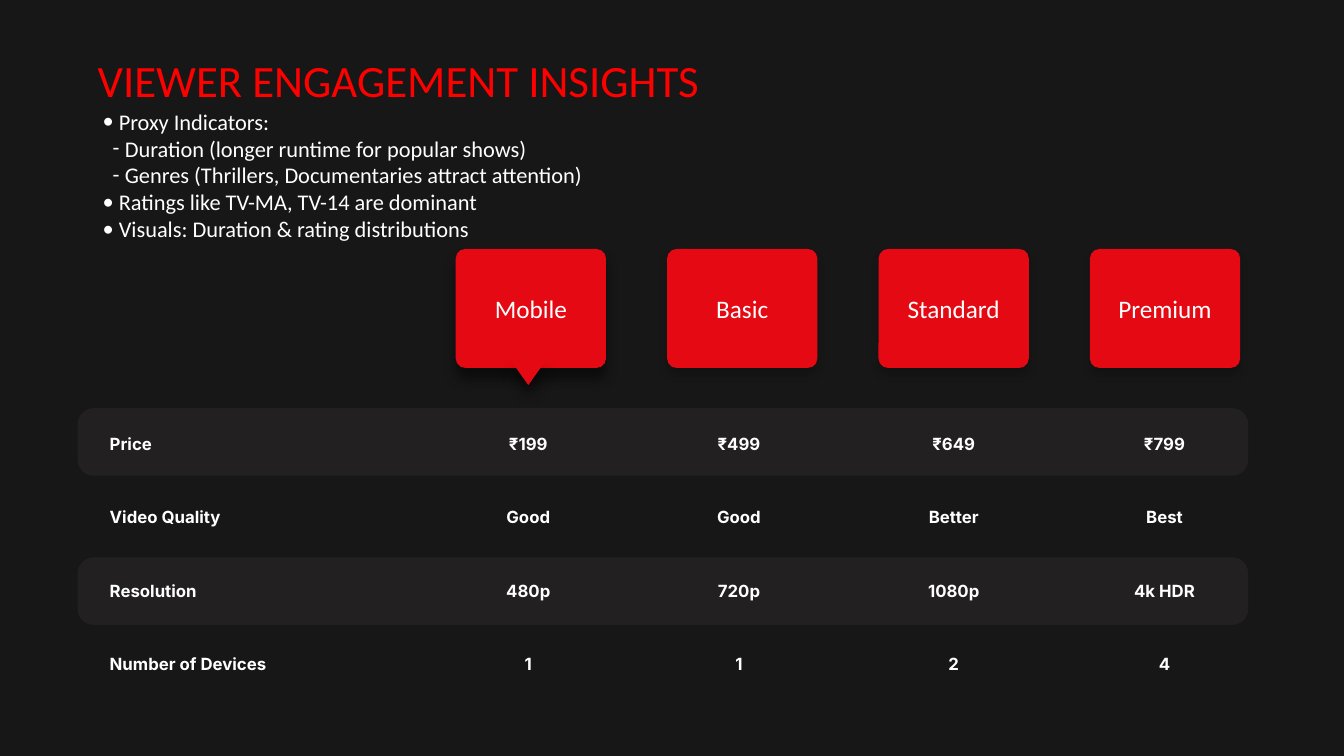
from dataclasses import dataclass

from lxml.etree import SubElement
from pptx import Presentation
from pptx.dml.color import RGBColor
from pptx.enum.shapes import MSO_SHAPE
from pptx.enum.text import MSO_ANCHOR, PP_ALIGN
from pptx.oxml.ns import qn
from pptx.util import Inches, Pt


@dataclass(frozen=True)
class Theme:
    background: str = "181717"
    band: str = "3B3838"
    card: str = "E50914"
    title: str = "FF0000"
    text: str = "FFFFFF"
    shadow: str = "000000"
    heading_font: str = "Calibri"
    table_font: str = "Inter"
    title_size: int = 32
    card_size: int = 18
    body_size: int = 16
    table_size: int = 12


THEME = Theme()

INSIGHTS = [
    ("•", "Proxy Indicators:"),
    ("-", "Duration (longer runtime for popular shows)"),
    ("-", "Genres (Thrillers, Documentaries attract attention)"),
    ("•", "Ratings like TV-MA, TV-14 are dominant"),
    ("•", "Visuals: Duration & rating distributions"),
]
# Marker: (text margin, hanging indent)
MARKER_INDENTS = {"•": (0.16, -0.16), "-": (0.22, -0.12)}

PLANS = ["Mobile", "Basic", "Standard", "Premium"]
FEATURES = [
    ("Price", ["₹199", "₹499", "₹649", "₹799"]),
    ("Video Quality", ["Good", "Good", "Better", "Best"]),
    ("Resolution", ["480p", "720p", "1080p", "4k HDR"]),
    ("Number of Devices", ["1", "1", "2", "4"]),
]


def write(paragraph, text, *, size, color=THEME.text, font=THEME.heading_font,
          bold=False, align=PP_ALIGN.LEFT):
    paragraph.alignment = align
    run = paragraph.add_run()
    run.text = text
    run.font.name = font
    run.font.size = Pt(size)
    run.font.bold = bold
    run.font.color.rgb = RGBColor.from_string(color)


def add_text_frame(slide, left, top, width, height):
    box = slide.shapes.add_textbox(
        Inches(left), Inches(top), Inches(width), Inches(height))
    box.text_frame.word_wrap = True
    return box.text_frame


def add_panel(slide, preset, left, top, width, height, color, corner=None):
    panel = slide.shapes.add_shape(
        preset, Inches(left), Inches(top), Inches(width), Inches(height))
    panel.shadow.inherit = False
    panel.fill.solid()
    panel.fill.fore_color.rgb = RGBColor.from_string(color)
    panel.line.fill.background()
    if corner is not None:
        panel.adjustments[0] = corner
    return panel


def set_alpha(color_element, percent):
    SubElement(color_element, qn("a:alpha"), val=str(percent * 1000))


def cast_shadow(panel, opacity, blur, distance):
    effects = panel.element.spPr.find(qn("a:effectLst"))
    shadow = SubElement(
        effects, qn("a:outerShdw"), blurRad=str(Pt(blur)),
        dist=str(Pt(distance)), dir="5400000", algn="t", rotWithShape="0")
    set_alpha(SubElement(shadow, qn("a:srgbClr"), val=THEME.shadow), opacity)


def add_title(slide, left, top, width, height):
    frame = add_text_frame(slide, left, top, width, height)
    write(frame.paragraphs[0], "VIEWER ENGAGEMENT INSIGHTS",
          size=THEME.title_size, color=THEME.title)


def add_insights(slide, left, top, width, height):
    frame = add_text_frame(slide, left, top, width, height)
    for index, (marker, insight) in enumerate(INSIGHTS):
        paragraph = frame.add_paragraph() if index else frame.paragraphs[0]
        margin, indent = MARKER_INDENTS[marker]
        properties = paragraph._p.get_or_add_pPr()
        properties.set("marL", str(Inches(margin)))
        properties.set("indent", str(Inches(indent)))
        SubElement(properties, qn("a:buFont"), typeface=THEME.heading_font)
        SubElement(properties, qn("a:buChar"), char=marker)
        write(paragraph, insight, size=THEME.body_size)


def add_plan_cards(slide, left, top, width, height):
    card_width = 1.49
    pitch = (width - card_width) / (len(PLANS) - 1)
    for index, plan in enumerate(PLANS):
        card = add_panel(slide, MSO_SHAPE.ROUNDED_RECTANGLE,
                         left + index * pitch, top, card_width, height,
                         THEME.card, corner=0.08)
        selected = index == 0
        cast_shadow(card, *((50, 9, 8) if selected else (20, 6, 5)))
        card.text_frame.vertical_anchor = MSO_ANCHOR.MIDDLE
        write(card.text_frame.paragraphs[0], plan, size=THEME.card_size,
              align=PP_ALIGN.CENTER)


def add_selected_pointer(slide, left, top, width, height):
    pointer = add_panel(slide, MSO_SHAPE.ISOSCELES_TRIANGLE,
                        left, top, width, height, THEME.card)
    pointer.rotation = 180
    cast_shadow(pointer, 50, 9, 8)


def add_feature_rows(slide, left, top, width):
    row_pitch, band_pitch, band_height = 0.73, 1.48, 0.67
    label_width, value_width, text_height = 2.2, 0.9, 0.3
    value_centers = [4.47, 6.56, 8.69, 10.78]

    # Bands behind every other row
    for index in range(len(FEATURES) // 2):
        band = add_panel(slide, MSO_SHAPE.ROUNDED_RECTANGLE, left,
                         top + index * band_pitch, width, band_height,
                         THEME.band, corner=0.235)
        set_alpha(band.element.spPr.find(qn("a:solidFill"))[0], 30)

    # Feature labels and their value for each plan
    for row, (feature, values) in enumerate(FEATURES):
        row_top = top + 0.2 + row * row_pitch
        label = add_text_frame(slide, left + 0.22, row_top, label_width, text_height)
        write(label.paragraphs[0], feature, size=THEME.table_size,
              font=THEME.table_font, bold=True)
        for center, value in zip(value_centers, values):
            cell = add_text_frame(slide, left + center - value_width / 2,
                                  row_top, value_width, text_height)
            write(cell.paragraphs[0], value, size=THEME.table_size,
                  font=THEME.table_font, bold=True, align=PP_ALIGN.CENTER)


def main():
    presentation = Presentation()
    presentation.slide_width = Inches(13.33)
    presentation.slide_height = Inches(7.5)
    slide = presentation.slides.add_slide(presentation.slide_layouts[6])
    slide.background.fill.solid()
    slide.background.fill.fore_color.rgb = RGBColor.from_string(THEME.background)

    add_feature_rows(slide, 0.77, 4.05, 11.61)
    add_plan_cards(slide, 4.52, 2.47, 7.78, 1.18)
    add_title(slide, 0.87, 0.47, 6.4, 0.64)
    add_insights(slide, 0.92, 1.02, 11.46, 1.45)
    add_selected_pointer(slide, 5.07, 3.58, 0.34, 0.24)

    presentation.save("out.pptx")


if __name__ == "__main__":
    main()
